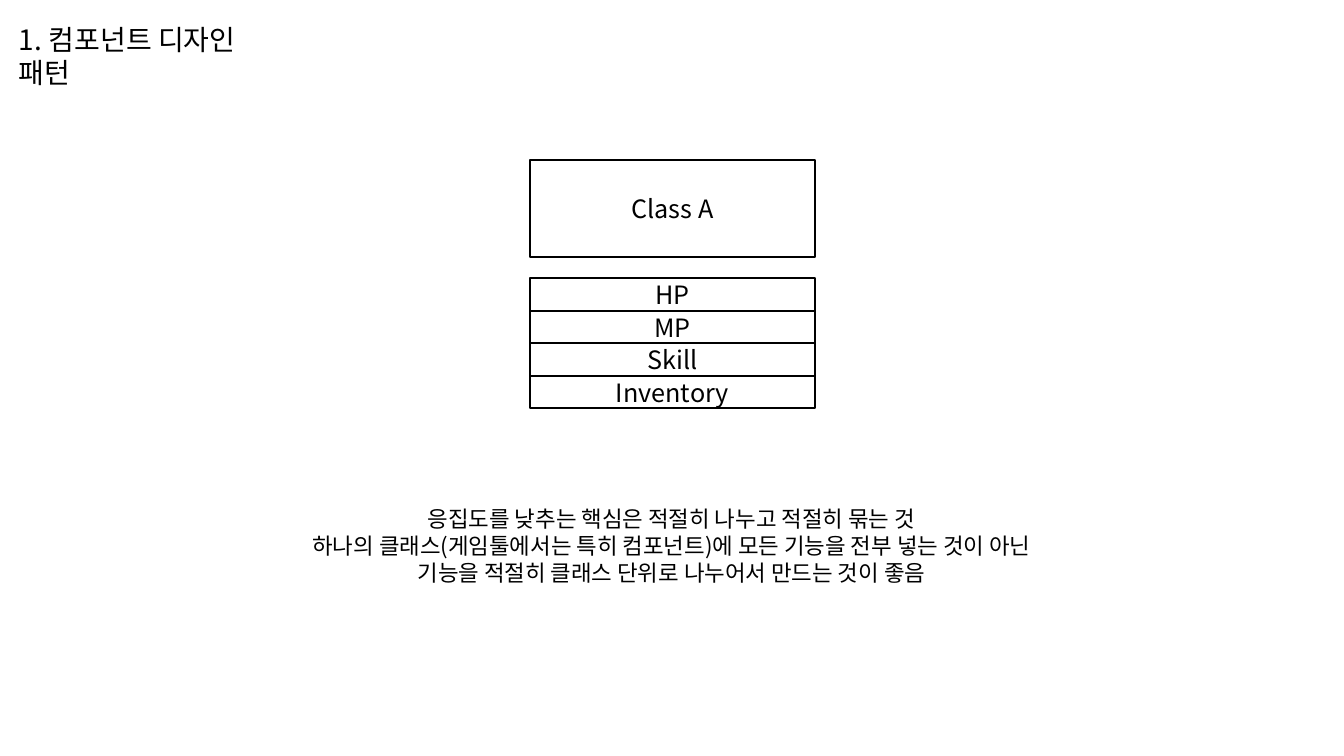
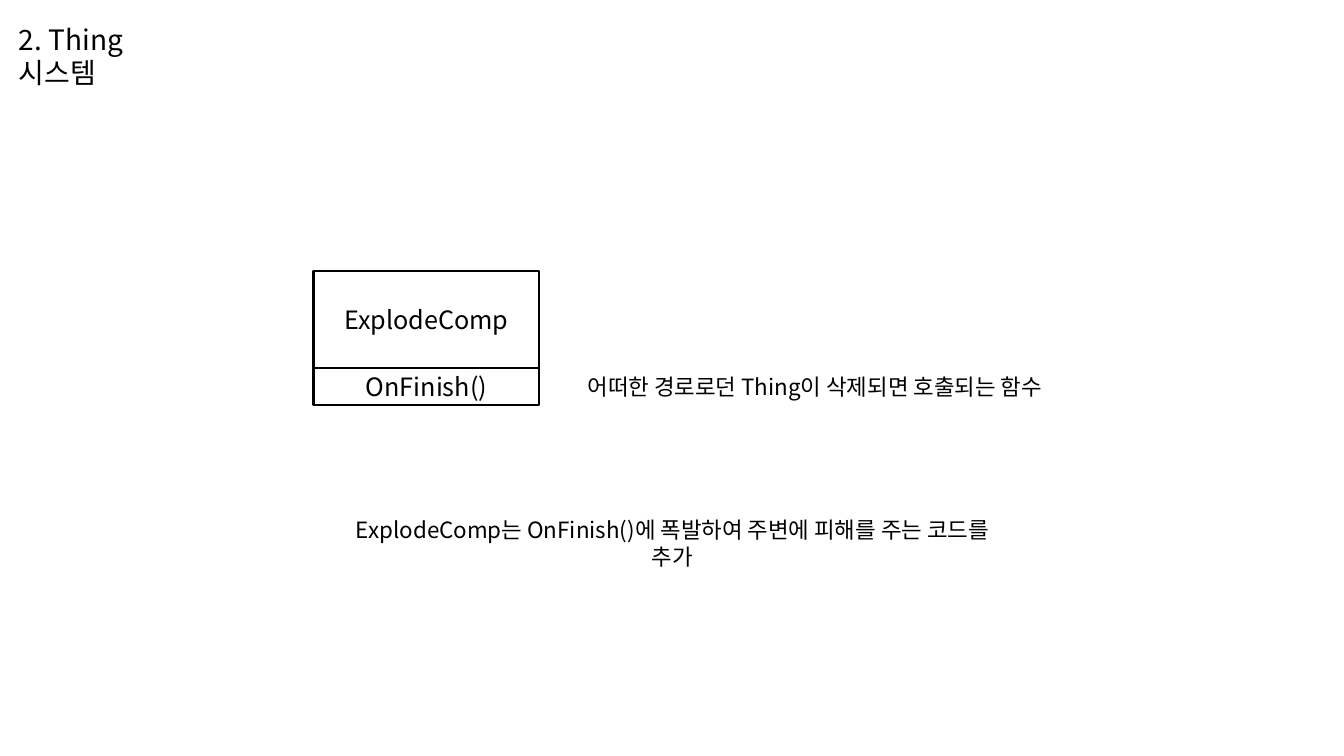
import pptx
import pptx.util
import pptx.dml.color
import pptx.enum.shapes
import pptx.enum.text
import pptx.oxml
from pptx.util import Inches

BLACK = pptx.dml.color.RGBColor(0x00, 0x00, 0x00)
WHITE = pptx.dml.color.RGBColor(0xFF, 0xFF, 0xFF)
FONT = "Noto Sans CJK KR"
TITLE_SIZE, BOX_SIZE, NOTE_SIZE = 20, 18, 16
LEFT = pptx.enum.text.PP_ALIGN.LEFT
CENTER = pptx.enum.text.PP_ALIGN.CENTER


def write(tf, lines, size, align):
    """Fill a text frame with one paragraph per line."""
    tf.word_wrap = True
    for i, line in enumerate(lines):
        p = tf.paragraphs[0] if i == 0 else tf.add_paragraph()
        p.alignment = align
        r = p.add_run()
        r.text = line
        r.font.name = FONT
        r.font.size = pptx.util.Pt(size)
        r.font.color.rgb = BLACK
        # East Asian typeface for the Korean text
        ea = pptx.oxml.parse_xml(
            '<a:ea xmlns:a="http://schemas.openxmlformats.org/drawingml/2006/main"'
            f' typeface="{FONT}"/>')
        r.font._element.append(ea)


def add_text(s, x, y, w, h, lines, size=NOTE_SIZE, align=LEFT):
    tb = s.shapes.add_textbox(Inches(x), Inches(y), Inches(w), Inches(h))
    write(tb.text_frame, lines, size, align)


def add_box(s, x, y, w, h, label):
    sp = s.shapes.add_shape(pptx.enum.shapes.MSO_SHAPE.RECTANGLE,
                            Inches(x), Inches(y), Inches(w), Inches(h))
    sp.shadow.inherit = False
    sp.fill.solid()
    sp.fill.fore_color.rgb = WHITE
    sp.line.color.rgb = BLACK
    sp.line.width = pptx.util.Pt(1.5)
    sp.text_frame.vertical_anchor = pptx.enum.text.MSO_ANCHOR.MIDDLE
    write(sp.text_frame, [label], BOX_SIZE, CENTER)


def add_class(s, x, y, w, name, members, row_h, gap=0, head_h=0.96):
    """Class box with its members stacked below."""
    add_box(s, x, y, w, head_h, name)
    top = y + head_h + gap
    for i, member in enumerate(members):
        add_box(s, x, top + i * row_h, w, row_h, member)


def new_slide(prs, title, title_w):
    s = prs.slides.add_slide(prs.slide_layouts[6])
    add_text(s, 0.09, 0.17, title_w, 0.44, [title], TITLE_SIZE)
    return s


def component_slide(prs):
    s = new_slide(prs, "1. 컴포넌트 디자인 패턴", 2.9)
    add_text(s, 2.99, 4.96, 7.34, 0.91, [
        "응집도를 낮추는 핵심은 적절히 나누고 적절히 묶는 것",
        "하나의 클래스(게임툴에서는 특히 컴포넌트)에 모든 기능을 전부 넣는 것이 아닌",
        "기능을 적절히 클래스 단위로 나누어서 만드는 것이 좋음",
    ], align=CENTER)
    members = ["HP", "MP", "Skill", "Inventory"]
    add_class(s, 5.26, 1.59, 2.82, "Class A", members,
              row_h=1.29 / len(members), gap=0.21)


def thing_slide(prs):
    s = new_slide(prs, "2. Thing 시스템", 2.03)
    add_text(s, 3.26, 5.07, 6.82, 0.37,
             ["ExplodeComp는 OnFinish()에 폭발하여 주변에 피해를 주는 코드를 추가"],
             align=CENTER)
    add_class(s, 3.11, 2.69, 2.24, "ExplodeComp", ["OnFinish()"], row_h=0.37)
    # Note beside the member row
    add_text(s, 5.73, 3.65, 4.76, 0.37,
             ["어떠한 경로로던 Thing이 삭제되면 호출되는 함수"])


def main():
    prs = pptx.Presentation()
    prs.slide_width, prs.slide_height = Inches(13.33), Inches(7.5)
    component_slide(prs)
    thing_slide(prs)
    prs.save("out.pptx")


if __name__ == "__main__":
    main()
